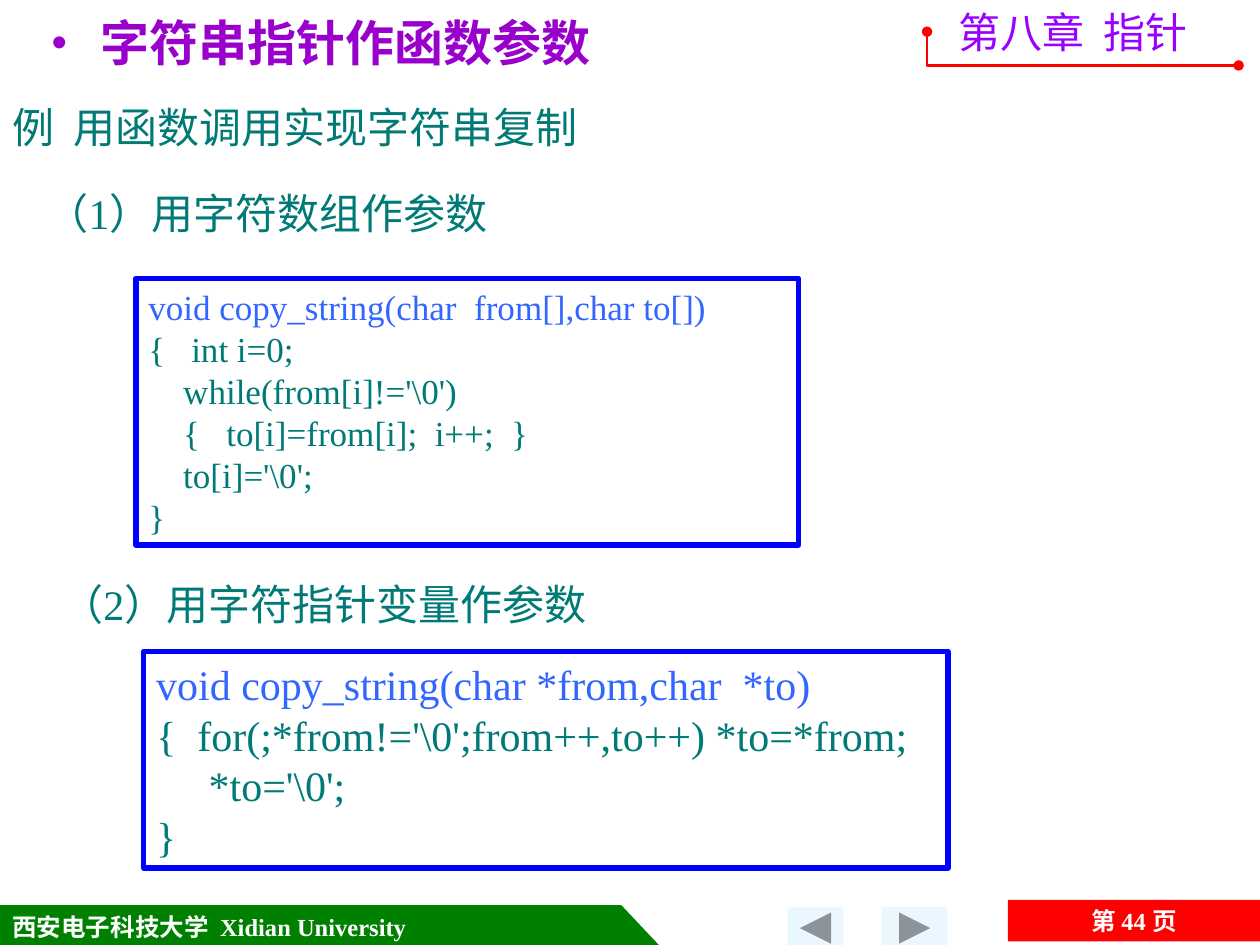
from dataclasses import dataclass

from lxml.etree import SubElement
from pptx import Presentation
from pptx.dml.color import RGBColor
from pptx.enum.shapes import MSO_SHAPE
from pptx.enum.text import MSO_ANCHOR, PP_ALIGN
from pptx.oxml.ns import qn
from pptx.util import Cm, Pt


@dataclass(frozen=True)
class Theme:
    teal: str = "007A77"
    code_blue: str = "3366FF"
    frame_blue: str = "0000FF"
    title_purple: str = "9900CC"
    chapter_purple: str = "9900FF"
    green: str = "008000"
    red: str = "FF0000"
    pale_blue: str = "EBF7FF"
    white: str = "FFFFFF"
    title_size: int = 28
    body_size: int = 24
    code_size: int = 20
    footer_size: int = 14
    serif: str = "Times New Roman"
    sans: str = "Arial"
    chinese: str = "Noto Sans CJK SC"


THEME = Theme()


def color(value):
    return RGBColor.from_string(value)


def add_run(paragraph, text, size, fill, font=THEME.serif, bold=False):
    run = paragraph.add_run()
    run.text = text
    run.font.size = Pt(size)
    run.font.bold = bold
    run.font.name = font
    run.font.color.rgb = color(fill)
    east_asian = SubElement(run.font._element, qn("a:ea"))
    east_asian.set("typeface", THEME.chinese)


def add_label(slide, box, text, size, fill, font=THEME.serif, wrap=False, bold=False):
    shape = slide.shapes.add_textbox(*map(Cm, box))
    shape.text_frame.word_wrap = wrap
    paragraph = shape.text_frame.paragraphs[0]
    add_run(paragraph, text, size, fill, font, bold)
    return paragraph


def add_block(slide, kind, box, fill, line=None, line_width=0.75):
    shape = slide.shapes.add_shape(kind, *map(Cm, box))
    shape.shadow.inherit = False
    shape.fill.solid()
    shape.fill.fore_color.rgb = color(fill)
    if line:
        shape.line.color.rgb = color(line)
        shape.line.width = Pt(line_width)
    else:
        shape.line.fill.background()
    shape.text_frame.word_wrap = True
    shape.text_frame.vertical_anchor = MSO_ANCHOR.MIDDLE
    shape.text_frame.paragraphs[0].alignment = PP_ALIGN.LEFT
    return shape


def add_code(slide, box, lines, size):
    """Framed listing whose first line, the signature, is highlighted."""
    shape = add_block(slide, MSO_SHAPE.RECTANGLE, box, THEME.white, THEME.frame_blue, 3)
    frame = shape.text_frame
    for index, line in enumerate(lines):
        paragraph = frame.add_paragraph() if index else frame.paragraphs[0]
        paragraph.alignment = PP_ALIGN.LEFT
        add_run(paragraph, line, size, THEME.teal if index else THEME.code_blue)


def add_title(slide):
    paragraph = add_label(slide, (-0.48, 0.13, 18.19, 1.8), "字符串指针作函数参数",
                          THEME.title_size, THEME.title_purple, THEME.sans, True, True)
    properties = paragraph._p.get_or_add_pPr()
    properties.set("marL", str(Cm(2.26)))
    properties.set("indent", str(Cm(-0.99)))
    bullet_color = SubElement(properties, qn("a:buClr"))
    SubElement(bullet_color, qn("a:srgbClr")).set("val", THEME.title_purple)
    SubElement(properties, qn("a:buSzPct")).set("val", "90000")
    SubElement(properties, qn("a:buFont")).set("typeface", THEME.sans)
    SubElement(properties, qn("a:buChar")).set("char", "•")


def add_chapter(slide):
    add_label(slide, (19.08, 0, 5.59, 1.27), "第八章  指针",
              THEME.body_size, THEME.chapter_purple, THEME.chinese)
    left, top, right, bottom = map(Cm, (18.69, 0.64, 24.97, 1.32))
    builder = slide.shapes.build_freeform(left, top)
    builder.add_line_segments([(left, bottom), (right, bottom)], close=False)
    bracket = builder.convert_to_shape()
    bracket.shadow.inherit = False
    bracket.fill.background()
    bracket.line.color.rgb = color(THEME.red)
    bracket.line.width = Pt(1.5)
    outline = bracket.line._get_or_add_ln()
    for end in ("a:headEnd", "a:tailEnd"):
        SubElement(outline, qn(end)).set("type", "oval")


def add_footer(slide):
    top, height = 18.26, 0.84
    banner = add_block(slide, MSO_SHAPE.RECTANGLE, (0, top, 12.5, height),
                       THEME.green, THEME.green)
    add_run(banner.text_frame.paragraphs[0], "西安电子科技大学  Xidian University",
            THEME.footer_size, THEME.white, bold=True)
    add_block(slide, MSO_SHAPE.RIGHT_TRIANGLE, (12.52, top, 0.79, height),
              THEME.green, THEME.green)

    for left, width, rotation in ((17.78, 1.32, 0), (15.88, 1.12, 180)):
        button = add_block(slide, MSO_SHAPE.ACTION_BUTTON_FORWARD_OR_NEXT,
                           (left, 18.29, width, height), THEME.pale_blue)
        button.rotation = rotation

    page = add_block(slide, MSO_SHAPE.RECTANGLE, (20.32, 18.14, 5.08, height), THEME.red)
    paragraph = page.text_frame.paragraphs[0]
    paragraph.alignment = PP_ALIGN.CENTER
    for text, font in (("第 ", THEME.chinese), ("44 ", THEME.serif), ("页", THEME.chinese)):
        add_run(paragraph, text, THEME.footer_size, THEME.white, font, True)


def main():
    presentation = Presentation()
    presentation.slide_width, presentation.slide_height = Cm(25.4), Cm(19.05)
    slide = presentation.slides.add_slide(presentation.slide_layouts[6])

    add_footer(slide)
    add_title(slide)
    add_chapter(slide)

    headings = (
        ((0, 1.93, 11.94, 1.27), "例  用函数调用实现字符串复制", False),
        ((0.69, 3.66, 9.4, 1.27), "（1）用字符数组作参数", True),
        ((0.99, 11.53, 11.1, 1.27), "（2）用字符指针变量作参数", True),
    )
    for box, text, wrap in headings:
        add_label(slide, box, text, THEME.body_size, THEME.teal, wrap=wrap)

    add_code(slide, (2.74, 5.61, 13.36, 5.38), (
        "void copy_string(char  from[],char to[])",
        "{   int i=0;",
        "    while(from[i]!='\\0')",
        "    {   to[i]=from[i];  i++;  }",
        "    to[i]='\\0';",
        "}",
    ), THEME.code_size)
    add_code(slide, (2.9, 13.13, 16.21, 4.37), (
        "void copy_string(char *from,char  *to)",
        "{  for(;*from!='\\0';from++,to++) *to=*from;",
        "     *to='\\0';",
        "}",
    ), THEME.body_size)

    presentation.save("out.pptx")


if __name__ == "__main__":
    main()
